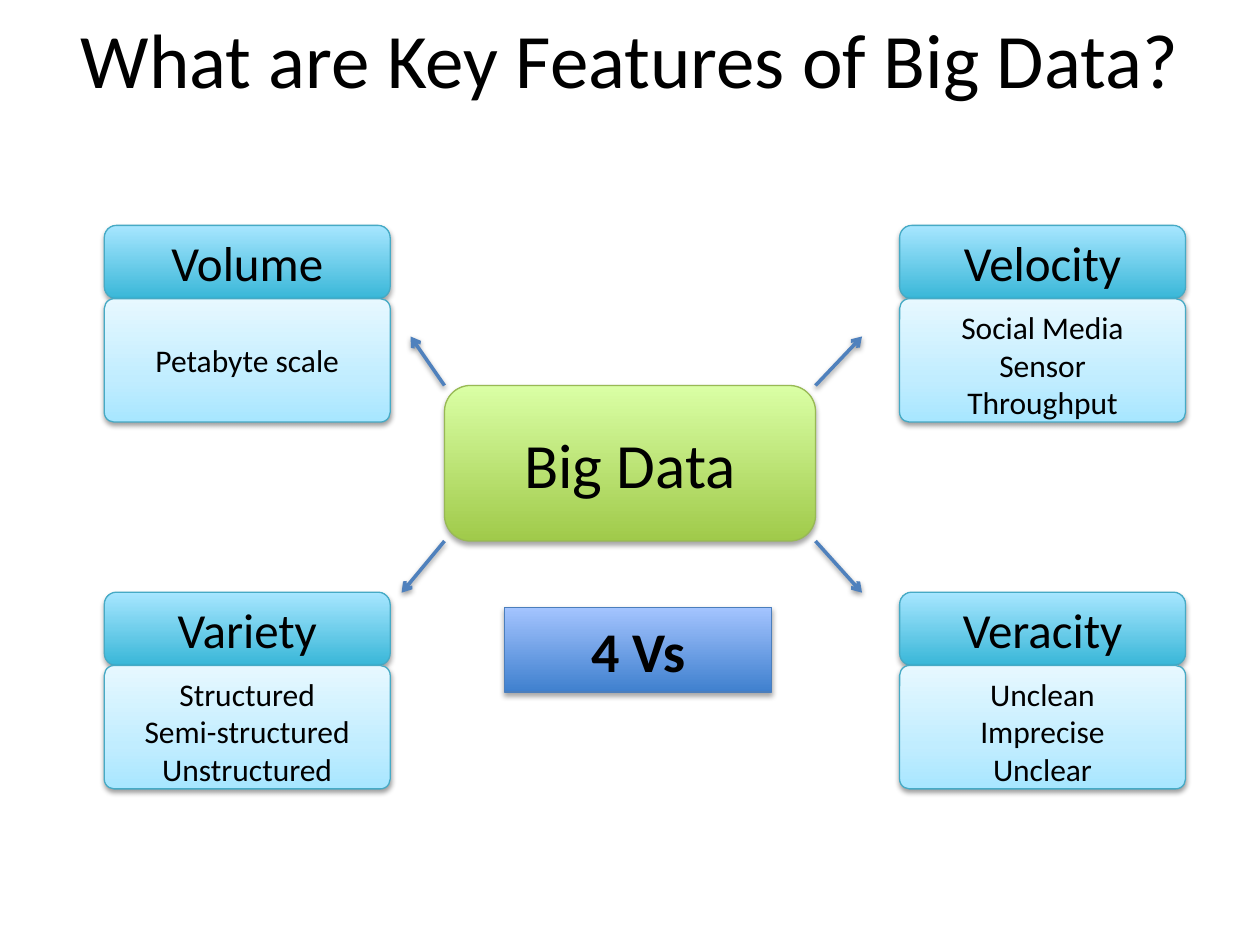
import pptx
import pptx.util
import pptx.dml.color
import pptx.enum.shapes
import pptx.enum.text
import pptx.oxml
import pptx.oxml.ns

Pt = pptx.util.Pt
RGBColor = pptx.dml.color.RGBColor
Shapes = pptx.enum.shapes.MSO_SHAPE
Anchor = pptx.enum.text.MSO_ANCHOR

FONT = "Calibri"
BLACK = RGBColor(0x00, 0x00, 0x00)
ARROW_BLUE = RGBColor(0x4F, 0x81, 0xBD)
AQUA_EDGE = RGBColor(0x46, 0xAA, 0xC5)
GREEN_EDGE = RGBColor(0x98, 0xB9, 0x55)
BLUE_EDGE = RGBColor(0x4B, 0x7E, 0xBC)

# Gradient stops run from bottom to top: (percent, colour)
GREEN = [(0, RGBColor(0xA0, 0xCA, 0x4A)), (100, RGBColor(0xDA, 0xFF, 0xA5))]
BLUE = [(0, RGBColor(0x3F, 0x80, 0xCE)), (100, RGBColor(0xA4, 0xC4, 0xFF))]
AQUA = [(0, RGBColor(0x39, 0xB7, 0xD8)), (100, RGBColor(0xA7, 0xE6, 0xFF))]
PALE_AQUA = [(0, RGBColor(0xA7, 0xE6, 0xFF)), (35, RGBColor(0xC1, 0xED, 0xFF)),
             (100, RGBColor(0xE7, 0xF8, 0xFF))]

# Card geometry
CARD_W, HEAD_H, DETAIL_H = 163.4, 41.9, 70.5
LEFT, RIGHT, TOP, BOTTOM = 59.6, 514.1, 128.8, 338.4


def xml(tag, body="", attrs=""):
    space = pptx.oxml.ns.nsdecls("a")
    return pptx.oxml.parse_xml(f"<a:{tag} {space} {attrs}>{body}</a:{tag}>")


def shadow_xml(distance, opacity):
    return xml("outerShdw",
               f'<a:srgbClr val="{BLACK}"><a:alpha val="{opacity * 1000}"/></a:srgbClr>',
               f'blurRad="{Pt(3.1)}" dist="{Pt(distance)}" dir="5400000" rotWithShape="0"')


def write(frame, lines, size, bold=False, anchor=Anchor.MIDDLE):
    frame.word_wrap = True
    frame.vertical_anchor = anchor
    for number, line in enumerate(lines):
        paragraph = frame.paragraphs[0] if number == 0 else frame.add_paragraph()
        paragraph.alignment = pptx.enum.text.PP_ALIGN.CENTER
        run = paragraph.add_run()
        run.text = line
        run.font.name = FONT
        run.font.size = Pt(size)
        run.font.bold = bold
        run.font.color.rgb = BLACK


def add_panel(slide, box, kind, stops, edge, shadow=(1.8, 35)):
    panel = slide.shapes.add_shape(kind, *map(Pt, box))
    panel.fill.gradient()
    panel.fill.gradient_angle = 90
    stop_list = panel._element.spPr.find(".//" + pptx.oxml.ns.qn("a:gsLst"))
    for old_stop in list(stop_list):
        stop_list.remove(old_stop)
    for percent, colour in stops:
        stop_list.append(xml("gs", f'<a:srgbClr val="{colour}"/>', f'pos="{percent * 1000}"'))
    panel.line.color.rgb = edge
    panel.line.width = Pt(0.75)
    panel.shadow.inherit = False
    effects = panel._element.spPr.find(pptx.oxml.ns.qn("a:effectLst"))
    effects.append(shadow_xml(*shadow))
    return panel


def add_title(slide, box, text):
    title = slide.shapes.add_textbox(*map(Pt, box))
    write(title.text_frame, [text], 44)


def add_arrow(slide, start, end):
    arrow = slide.shapes.add_connector(
        pptx.enum.shapes.MSO_CONNECTOR.STRAIGHT, *map(Pt, start + end))
    arrow.line.color.rgb = ARROW_BLUE
    arrow.line.width = Pt(2)
    arrow.line._get_or_add_ln().append(xml("tailEnd", attrs='type="arrow"'))
    effects = xml("effectLst")
    effects.append(shadow_xml(1.6, 38))
    arrow._element.spPr.append(effects)


def add_hub(slide, box):
    """Central box with an arrow from each corner towards its card."""
    left, top, width, height = box
    right, bottom = left + width, top + height
    hub = add_panel(slide, box, Shapes.ROUNDED_RECTANGLE, GREEN, GREEN_EDGE)
    write(hub.text_frame, ["Big Data"], 36)
    for corner, (dx, dy) in [((left, top), (-19.4, -28)), ((right, top), (26.6, -28)),
                             ((right, bottom), (26.6, 29.5)), ((left, bottom), (-24.5, 29.5))]:
        add_arrow(slide, corner, (corner[0] + dx, corner[1] + dy))


def add_card(slide, left, top, heading, details):
    """Heading bar with a detail box directly below it."""
    head = add_panel(slide, (left, top, CARD_W, HEAD_H),
                     Shapes.ROUNDED_RECTANGLE, AQUA, AQUA_EDGE)
    write(head.text_frame, [heading], 28)
    detail = add_panel(slide, (left, top + HEAD_H, CARD_W, DETAIL_H),
                       Shapes.ROUNDED_RECTANGLE, PALE_AQUA, AQUA_EDGE, (1.6, 38))
    detail.adjustments[0] = 0.08
    anchor = Anchor.MIDDLE if len(details) == 1 else Anchor.TOP
    write(detail.text_frame, details, 18, anchor=anchor)


def add_badge(slide, box, text):
    badge = add_panel(slide, box, Shapes.RECTANGLE, BLUE, BLUE_EDGE)
    write(badge.text_frame, [text], 32, bold=True)


def main():
    deck = pptx.Presentation()
    deck.slide_width, deck.slide_height = Pt(720), Pt(540)
    slide = deck.slides.add_slide(deck.slide_layouts[6])

    add_title(slide, (36, 0, 648, 65.5), "What are Key Features of Big Data?")
    add_hub(slide, (254, 220.3, 212, 88.9))

    # The four Vs around the hub
    add_card(slide, LEFT, TOP, "Volume", ["Petabyte scale"])
    add_card(slide, LEFT, BOTTOM, "Variety", ["Structured", "Semi-structured", "Unstructured"])
    add_card(slide, RIGHT, TOP, "Velocity", ["Social Media", "Sensor", "Throughput"])
    add_card(slide, RIGHT, BOTTOM, "Veracity", ["Unclean", "Imprecise", "Unclear"])
    add_badge(slide, (288.4, 347, 152.6, 48.5), "4 Vs")

    deck.save("out.pptx")


if __name__ == "__main__":
    main()
